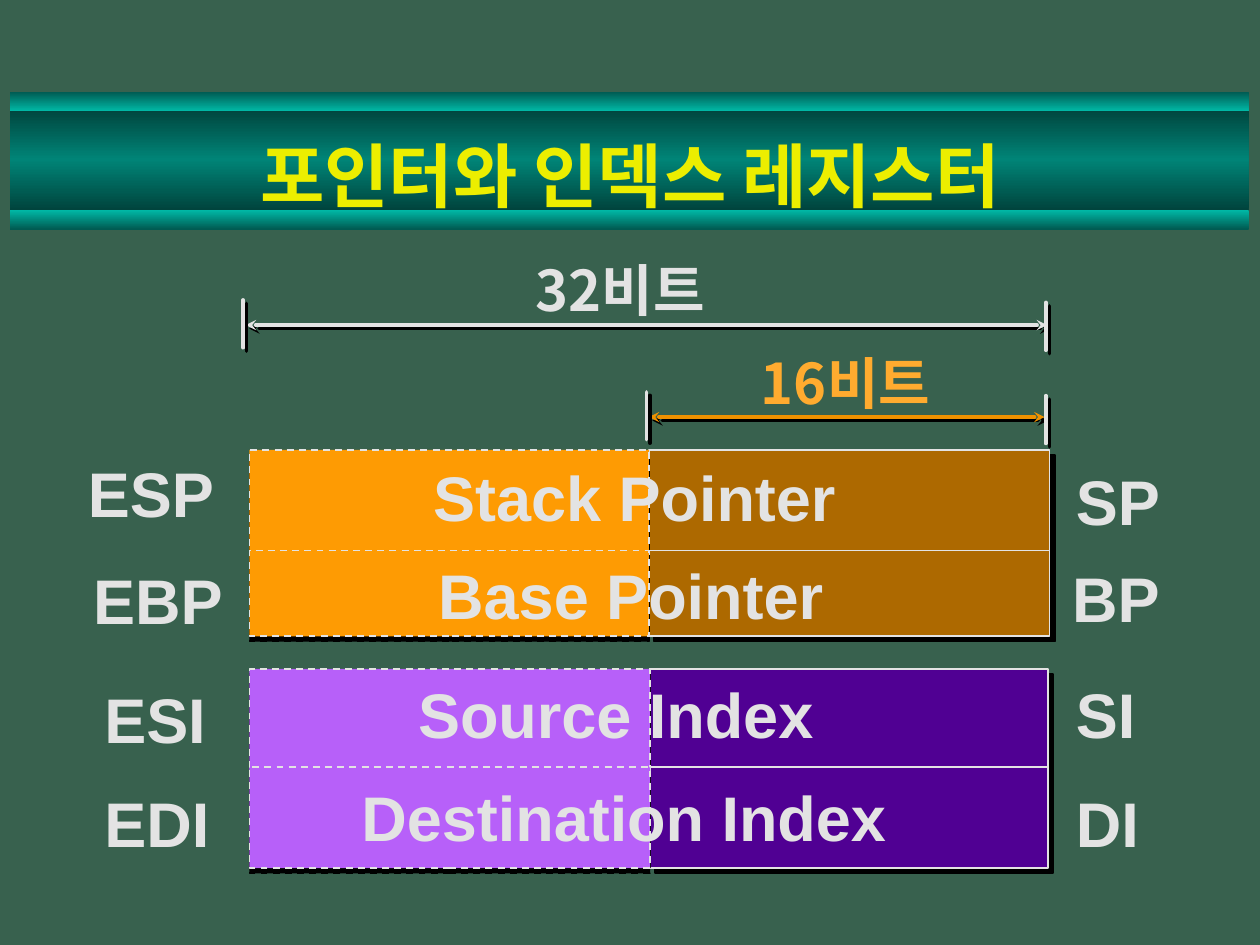
from lxml.etree import SubElement
from pptx import Presentation
from pptx.dml.color import RGBColor
from pptx.enum.dml import MSO_LINE
from pptx.enum.shapes import MSO_CONNECTOR, MSO_SHAPE
from pptx.enum.text import MSO_ANCHOR, PP_ALIGN
from pptx.oxml.ns import qn
from pptx.util import Inches, Pt

LATIN, KOREAN = "Arial", "Noto Sans CJK KR"
BACKGROUND, LIGHT, YELLOW = "38614E", "E3E3E3", "ECEE00"
ORANGE, ORANGE_TEXT = "EF9100", "FFAB2F"
BAR_LEFT, BAR_WIDTH = 0.08, 9.83

# top, height, gradient stops from top to bottom
TITLE_BARS = [
    (0.85, 0.83, ["00423B", "008477", "00423B"]),
    (1.67, 0.15, ["00B7A5", "005B52"]),
    (0.73, 0.15, ["005B52", "00B7A5"]),
]
TITLE = "포인터와 인덱스 레지스터"

# left edge, middle, right edge, upper fill, lower fill, (top, height) of rows
REGISTER_PAIRS = [
    (1.98, 5.15, 8.33, "FE9B03", "AD6900", [(3.57, 0.82), (4.37, 0.68)]),
    (1.98, 5.16, 8.32, "B760F9", "500093", [(5.31, 1.03), (6.09, 0.8)]),
]

# text, left, top, width
LABELS = [
    ("ESP", 0.6, 3.56, 1.3),
    ("EBP", 0.64, 4.41, 1.31),
    ("ESI", 0.73, 5.35, 1.13),
    ("EDI", 0.73, 6.18, 1.63),
    ("SP", 8.44, 3.62, 1.2),
    ("BP", 8.41, 4.39, 1.11),
    ("SI", 8.44, 5.31, 1.13),
    ("DI", 8.44, 6.18, 0.97),
    ("Stack Pointer", 3.34, 3.59, 4.8),
    ("Base Pointer", 3.38, 4.37, 4.8),
    ("Source Index", 3.22, 5.31, 4.8),
    ("Destination Index", 2.77, 6.13, 5.5),
]

# text, text left, text top, text colour, line colour, arrow (from, to, y),
# end ticks (x, top)
MEASURES = [
    ("16비트", 5.94, 2.72, ORANGE_TEXT, ORANGE, (5.15, 8.29, 3.31),
     [(5.13, 3.11), (8.3, 3.14)]),
    ("32비트", 4.15, 1.98, LIGHT, LIGHT, (1.95, 8.31, 2.58),
     [(1.93, 2.38), (8.3, 2.4)]),
]
TICK_HEIGHT = 0.38


def color(value):
    return RGBColor.from_string(value)


def add_shadow(effects, distance, angle):
    """Put a hard black shadow (points, degrees) into an a:effectLst."""
    shadow = SubElement(effects, qn("a:outerShdw"), dist=str(Pt(distance)),
                        dir=str(angle * 60000), algn="ctr", rotWithShape="0")
    SubElement(shadow, qn("a:srgbClr"), val="000000")


def add_box(page, left, top, width, height):
    box = page.shapes.add_shape(MSO_SHAPE.RECTANGLE, Inches(left), Inches(top),
                                Inches(width), Inches(height))
    box.shadow.inherit = False
    return box


def add_bar(page, top, height, stops):
    bar = add_box(page, BAR_LEFT, top, BAR_WIDTH, height)
    bar.line.fill.background()
    bar.fill.gradient()
    gradient = bar._element.spPr.find(qn("a:gradFill"))
    for child in list(gradient):
        gradient.remove(child)
    stop_list = SubElement(gradient, qn("a:gsLst"))
    for index, value in enumerate(stops):
        position = index * 100000 // (len(stops) - 1)
        stop = SubElement(stop_list, qn("a:gs"), pos=str(position))
        SubElement(stop, qn("a:srgbClr"), val=value)
    SubElement(gradient, qn("a:lin"), ang="5400000", scaled="0")


def add_cell(page, left, right, top, height, fill, dashed):
    cell = add_box(page, left, top, right - left, height)
    cell.fill.solid()
    cell.fill.fore_color.rgb = color(fill)
    cell.line.color.rgb = color(LIGHT)
    cell.line.width = Pt(1)
    if dashed:
        cell.line.dash_style = MSO_LINE.DASH
    effects = cell._element.spPr.find(qn("a:effectLst"))
    add_shadow(effects, *((3, 90) if dashed else (4.2, 45)))


def add_text(page, text, left, top, width, height, size, font, value):
    box = page.shapes.add_textbox(Inches(left), Inches(top),
                                  Inches(width), Inches(height))
    box.text_frame.word_wrap = True
    para = box.text_frame.paragraphs[0]
    span = para.add_run()
    span.text = text
    para.font.size = Pt(size)
    para.font.bold = True
    para.font.name = font
    para.font.color.rgb = color(value)
    SubElement(para.font._element, qn("a:ea"), typeface=font)
    add_shadow(SubElement(span.font._element, qn("a:effectLst")), 2.8, 45)
    return box


def add_line(page, x1, y1, x2, y2, value, arrows=False):
    line = page.shapes.add_connector(MSO_CONNECTOR.STRAIGHT, Inches(x1),
                                     Inches(y1), Inches(x2), Inches(y2))
    line.line.color.rgb = color(value)
    line.line.width = Pt(2)
    outline = line.line._get_or_add_ln()
    outline.set("cap", "rnd")
    if arrows:
        for end in ("a:headEnd", "a:tailEnd"):
            SubElement(outline, qn(end), type="stealth")
    add_shadow(SubElement(line._element.spPr, qn("a:effectLst")), 2.8, 45)


def main():
    deck = Presentation()
    deck.slide_width, deck.slide_height = Inches(10), Inches(7.5)
    page = deck.slides.add_slide(deck.slide_layouts[6])
    page.background.fill.solid()
    page.background.fill.fore_color.rgb = color(BACKGROUND)

    for bar in TITLE_BARS:
        add_bar(page, *bar)
    title = add_text(page, TITLE, 0.75, 0.98, 8.5, 0.81, 40, KOREAN, YELLOW)
    title.text_frame.vertical_anchor = MSO_ANCHOR.MIDDLE
    title.text_frame.paragraphs[0].alignment = PP_ALIGN.CENTER

    for left, middle, right, upper_fill, lower_fill, rows in REGISTER_PAIRS:
        for top, height in rows:
            add_cell(page, middle, right, top, height, lower_fill, False)
        for top, height in rows:
            add_cell(page, left, middle, top, height, upper_fill, True)

    for text, left, top, width in LABELS:
        add_text(page, text, left, top, width, 0.71, 36, LATIN, LIGHT)

    for text, left, top, text_color, line_color, arrow, ticks in MEASURES:
        start, end, y = arrow
        add_line(page, start, y, end, y, line_color, arrows=True)
        for x, tick_top in ticks:
            add_line(page, x, tick_top, x, tick_top + TICK_HEIGHT, LIGHT)
        add_text(page, text, left, top, 1.81, 0.55, 32, KOREAN, text_color)

    deck.save("out.pptx")


if __name__ == "__main__":
    main()
